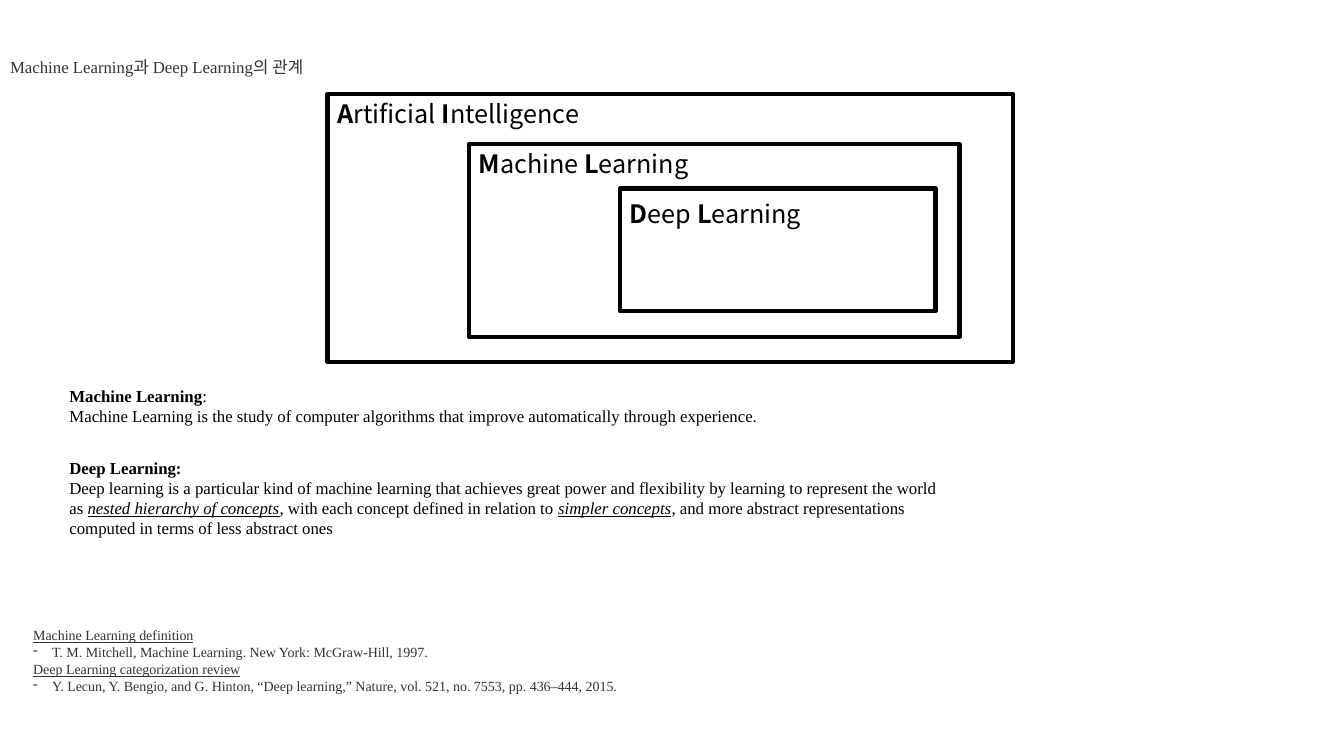
from lxml import etree
from pptx import Presentation
from pptx.dml.color import RGBColor
from pptx.enum.shapes import MSO_SHAPE
from pptx.enum.text import MSO_ANCHOR, MSO_AUTO_SIZE, PP_ALIGN
from pptx.oxml.ns import qn
from pptx.util import Pt

RECTANGLE = MSO_SHAPE.RECTANGLE
TOP = MSO_ANCHOR.TOP
NO_AUTOFIT = MSO_AUTO_SIZE.NONE
LEFT = PP_ALIGN.LEFT

BLACK = RGBColor(0x00, 0x00, 0x00)
GREY = RGBColor(0x33, 0x33, 0x33)
SERIF = "Times New Roman"
SANS = "Noto Sans CJK KR"
TITLE_ONLY = 5


class SlideBuilder:
    def __init__(self, presentation):
        self.slide = presentation.slides.add_slide(presentation.slide_layouts[TITLE_ONLY])

    def fill_text(self, frame, paragraphs, size, font, color):
        frame.word_wrap = True
        frame.auto_size = NO_AUTOFIT
        frame.vertical_anchor = TOP
        for index, runs in enumerate(paragraphs):
            paragraph = frame.add_paragraph() if index else frame.paragraphs[0]
            paragraph.alignment = LEFT
            for text, marks in runs:
                if "-" in marks:
                    self.dash(paragraph)
                run = paragraph.add_run()
                run.text = text
                run.font.name = font
                run.font.size = Pt(size)
                run.font.color.rgb = color
                run.font.bold = "b" in marks
                run.font.italic = "i" in marks
                run.font.underline = "u" in marks

    def dash(self, paragraph):
        properties = paragraph._p.get_or_add_pPr()
        properties.set("marL", str(Pt(13.5)))
        properties.set("indent", str(Pt(-13.5)))
        etree.SubElement(properties, qn("a:buChar")).set("char", "-")

    def title(self, left, top, width, height, runs):
        heading = self.slide.shapes.title
        heading.left, heading.top = Pt(left), Pt(top)
        heading.width, heading.height = Pt(width), Pt(height)
        self.fill_text(heading.text_frame, [runs], 12, SERIF, GREY)

    def text(self, left, top, width, height, paragraphs, size=12, font=SERIF, color=BLACK):
        box = self.slide.shapes.add_textbox(Pt(left), Pt(top), Pt(width), Pt(height))
        self.fill_text(box.text_frame, paragraphs, size, font, color)

    def frame(self, left, top, width, height):
        outline = self.slide.shapes.add_shape(RECTANGLE, Pt(left), Pt(top), Pt(width), Pt(height))
        outline.shadow.inherit = False
        outline.fill.background()
        outline.line.color.rgb = BLACK
        outline.line.width = Pt(3)

    def field(self, left, top, width, height, label_top, words):
        self.frame(left, top, width, height)
        runs = []
        for index, word in enumerate(words):
            gap = " " if index < len(words) - 1 else ""
            runs += [(word[0], "b"), (word[1:] + gap, "")]
        self.text(left, label_top, 228, 30, [runs], 18, SANS)


def main():
    presentation = Presentation()
    presentation.slide_width, presentation.slide_height = Pt(960), Pt(540)
    page = SlideBuilder(presentation)

    page.title(0, 36.7, 297.4, 21.6, [("Machine Learning과 Deep Learning의 관계", "")])

    page.field(234, 67, 489.6, 191.5, 67, ("Artificial", "Intelligence"))
    page.field(334.8, 103, 350.6, 137.5, 102.3, ("Machine", "Learning"))
    page.field(442.8, 134.6, 225.4, 87.8, 138.2, ("Deep", "Learning"))

    page.text(42.5, 272.2, 646.6, 36, [
        [("Machine Learning", "b"), (":", "")],
        [("Machine Learning is the study of computer algorithms that improve "
          "automatically through experience.", "")],
    ])
    page.text(42.5, 323.3, 646.6, 65.5, [
        [("Deep Learning:", "b")],
        [("Deep learning is a particular kind of machine learning that achieves great power "
          "and flexibility by learning to represent the world as ", ""),
         ("nested hierarchy of concepts", "iu"),
         (", with each concept defined in relation to ", ""),
         ("simpler concepts", "iu"),
         (", and more abstract representations computed in terms of less abstract ones", "")],
    ])
    page.text(16.6, 444.2, 875.5, 55.4, [
        [("Machine Learning definition", "u")],
        [("T. M. Mitchell, Machine Learning. New York: McGraw-Hill, 1997.", "-")],
        [("Deep Learning categorization review", "u")],
        [("Y. Lecun, Y. Bengio, and G. Hinton, “Deep learning,” Nature, vol. 521, no. 7553, "
          "pp. 436–444, 2015.", "-")],
    ], 10, color=GREY)

    presentation.save("out.pptx")


if __name__ == "__main__":
    main()
